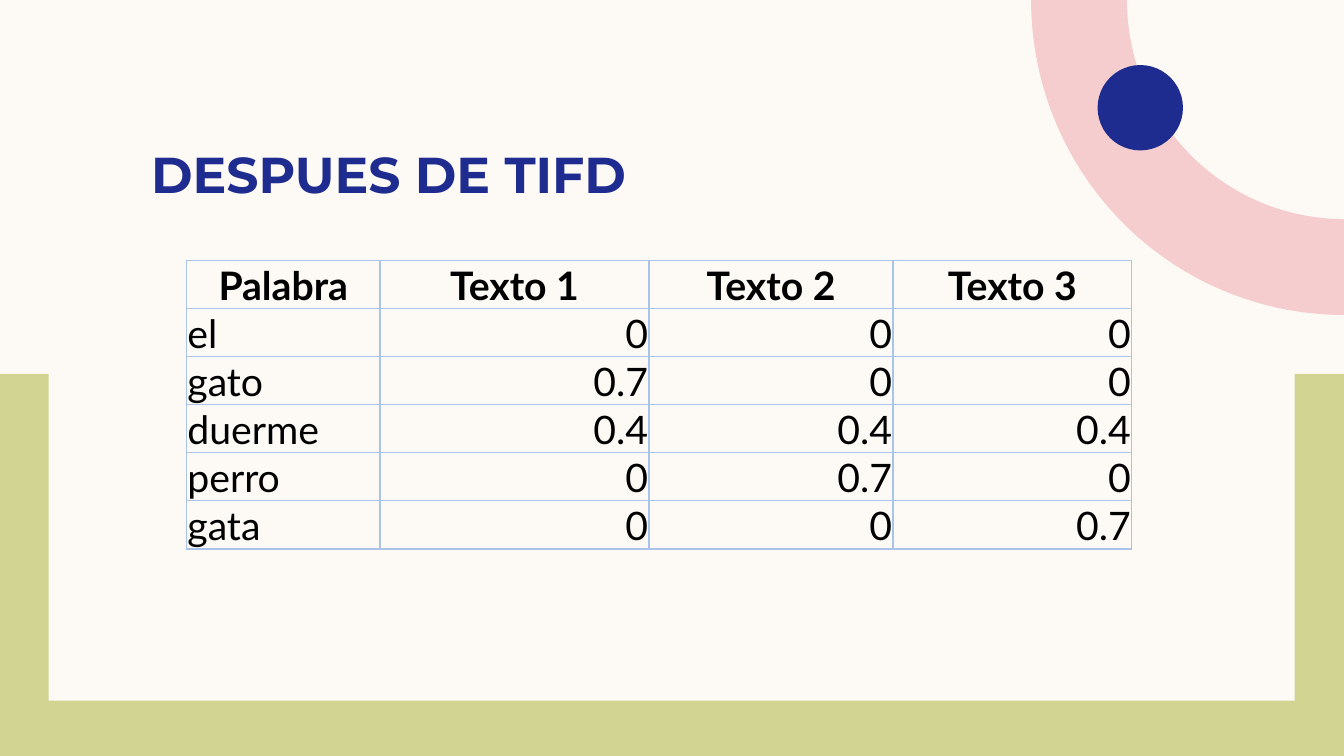
import math
from lxml import etree
from pptx import Presentation
from pptx.dml.color import RGBColor
from pptx.enum import shapes, text
from pptx.oxml import ns
from pptx.util import Pt

CREAM, OLIVE, PINK, NAVY = "FDFAF6", "D2D592", "F5CDCE", "1F2C8F"
EDGE, INK = "AAC3E8", "000000"
ROWS = [
    ("Palabra", "Texto 1", "Texto 2", "Texto 3"),
    ("el", "0", "0", "0"),
    ("gato", "0.7", "0", "0"),
    ("duerme", "0.4", "0.4", "0.4"),
    ("perro", "0", "0.7", "0"),
    ("gata", "0", "0", "0.7"),
]
COLS = (138.24, 192.24, 174.24, 170.64)
ROW = 34.2


def paint(fill, hue):
    fill.solid()
    fill.fore_color.rgb = RGBColor.from_string(hue)


def finish(shape, hue):
    shape.shadow.inherit = False
    paint(shape.fill, hue)
    shape.line.fill.background()


def block(slide, kind, box, hue):
    finish(slide.shapes.add_shape(kind, *map(Pt, box)), hue)


def arc(wide, high, steps=60):
    turns = [math.pi / 2 * (1 + i / steps) for i in range(steps + 1)]
    return [(Pt(960 + wide * math.cos(t)), Pt(high * math.sin(t))) for t in turns]


def ring(slide, outer, inner, hue):
    points = arc(*outer) + arc(*inner)[::-1]
    pen = slide.shapes.build_freeform(*points[0])
    pen.add_line_segments(points[1:], close=True)
    finish(pen.convert_to_shape(), hue)


def write(para, words, font, size, hue, bold):
    run = para.add_run()
    run.text = words
    run.font.name = font
    run.font.size = Pt(size)
    run.font.bold = bold
    run.font.color.rgb = RGBColor.from_string(hue)


def title(slide, words, box):
    frame = slide.shapes.add_textbox(*map(Pt, box)).text_frame
    frame.word_wrap = True
    frame.vertical_anchor = text.MSO_ANCHOR.MIDDLE
    frame.margin_top = frame.margin_bottom = 0
    write(frame.paragraphs[0], words, "Montserrat", 36, NAVY, True)


def border(cell, hue):
    props = cell._tc.get_or_add_tcPr()
    for i, side in enumerate("LRTB"):
        line = etree.Element(ns.qn(f"a:ln{side}"), w=str(Pt(1)))
        fill = etree.SubElement(line, ns.qn("a:solidFill"))
        etree.SubElement(fill, ns.qn("a:srgbClr"), val=hue)
        props.insert(i, line)


def entry(cell, words, align, bold):
    cell.fill.background()
    border(cell, EDGE)
    cell.margin_left = cell.margin_right = cell.margin_top = Pt(0.72)
    cell.margin_bottom = 0
    cell.vertical_anchor = text.MSO_ANCHOR.MIDDLE
    para = cell.text_frame.paragraphs[0]
    para.alignment = align
    write(para, words, "Lato", 28, INK, bold)


def grid(slide, left, top):
    size = map(Pt, (left, top, sum(COLS), ROW * len(ROWS)))
    table = slide.shapes.add_table(len(ROWS), len(COLS), *size).table
    table.first_row = table.horz_banding = False
    for col, width in zip(table.columns, COLS):
        col.width = Pt(width)
    for r, row in enumerate(ROWS):
        table.rows[r].height = Pt(ROW)
        for c, words in enumerate(row):
            side = text.PP_ALIGN.RIGHT if c else text.PP_ALIGN.LEFT
            align = side if r else text.PP_ALIGN.CENTER
            entry(table.cell(r, c), words, align, r == 0)


def main():
    deck = Presentation()
    deck.slide_width, deck.slide_height = Pt(960), Pt(540)
    slide = deck.slides.add_slide(deck.slide_layouts[6])
    paint(slide.background.fill, CREAM)
    rect, oval = shapes.MSO_SHAPE.RECTANGLE, shapes.MSO_SHAPE.OVAL
    block(slide, rect, (0, 267, 960, 273), OLIVE)
    block(slide, rect, (34.8, 26, 890, 474.5), CREAM)
    ring(slide, (223.5, 225), (155, 156.5), PINK)
    block(slide, oval, (784, 46.5, 61, 61), NAVY)
    title(slide, "DESPUES DE TIFD", (100.8, 46, 403, 155.5))
    grid(slide, 133.2, 186)
    deck.save("out.pptx")


if __name__ == "__main__":
    main()
